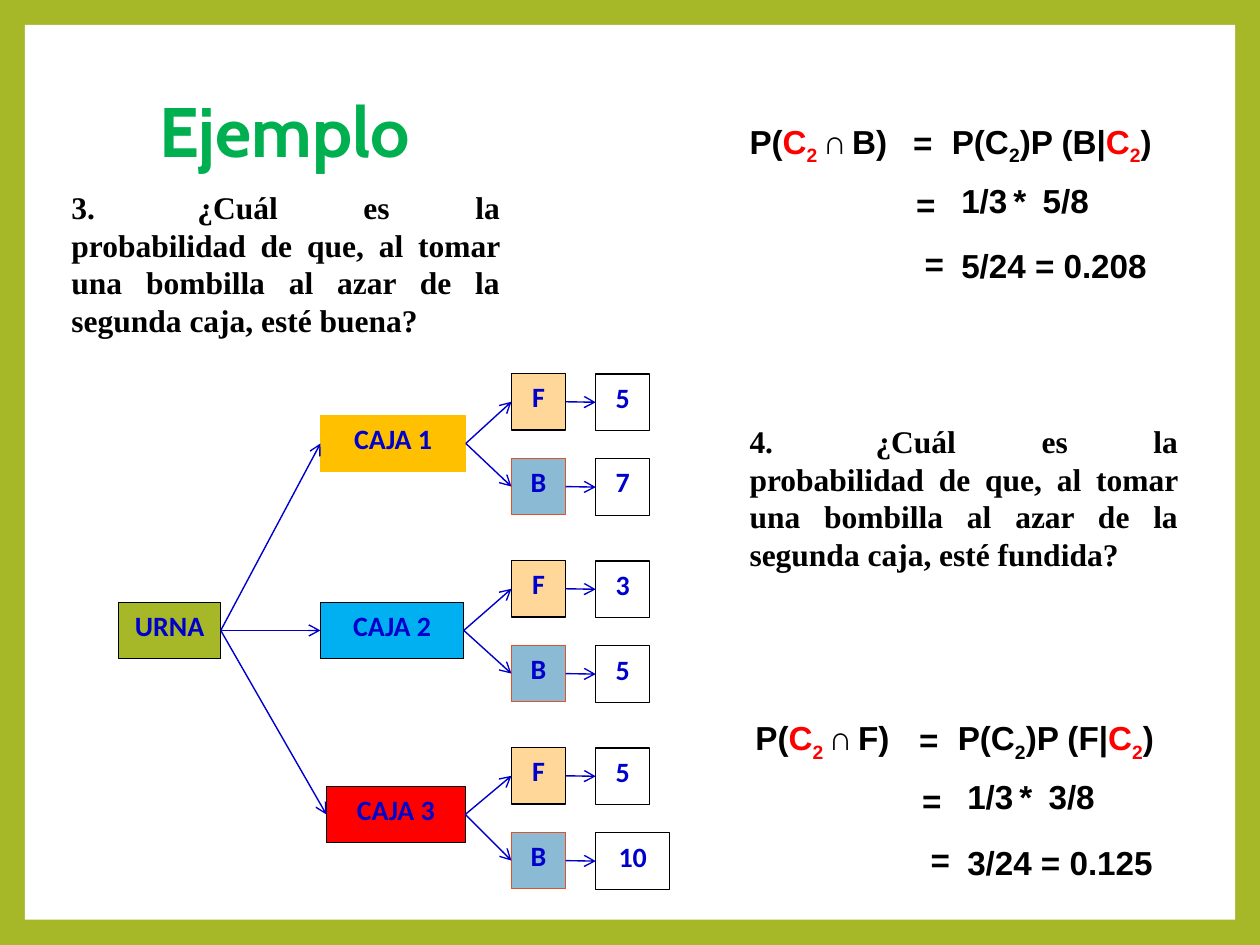
import pptx
import pptx.util
import pptx.dml.color
import pptx.enum.shapes
import pptx.enum.text
import pptx.oxml
import pptx.oxml.ns
import lxml.etree

Cm = pptx.util.Cm
Pt = pptx.util.Pt
RGBColor = pptx.dml.color.RGBColor
Align = pptx.enum.text.PP_ALIGN
Anchor = pptx.enum.text.MSO_ANCHOR
AutoSize = pptx.enum.text.MSO_AUTO_SIZE
qn = pptx.oxml.ns.qn

OLIVE = RGBColor(0xA6, 0xB7, 0x27)
WHITE = RGBColor(0xFF, 0xFF, 0xFF)
BLACK = RGBColor(0x00, 0x00, 0x00)
GREEN = RGBColor(0x00, 0xB0, 0x50)
NAVY = RGBColor(0x00, 0x00, 0xCC)
GOLD = RGBColor(0xFF, 0xC0, 0x00)
SKY = RGBColor(0x00, 0xB0, 0xF0)
RED = RGBColor(0xFF, 0x00, 0x00)
PEACH = RGBColor(0xFF, 0xD8, 0x99)
STEEL = RGBColor(0x8A, 0xBA, 0xD4)
RUST = RGBColor(0xDF, 0x53, 0x27)

# Lengths are in centimetres.
QUESTIONS = [
    (1.19, 3.66, "3.\t¿Cuál es la probabilidad de que, al tomar una bombilla "
                 "al azar de la segunda caja, esté buena?"),
    (14.86, 8.38, "4.\t¿Cuál es la probabilidad de que, al tomar una bombilla "
                  "al azar de la segunda caja, esté fundida?"),
]
QUESTION_TAB = 2.54

# Left, width, centre, fill, line, centre of its outcomes, bulbs F and B
BOXES = {
    "CAJA 1": (6.46, 2.93, 8.94, GOLD, GOLD, 8.95, ("5", "7")),
    "CAJA 2": (6.46, 2.89, 12.71, SKY, BLACK, 12.72, ("3", "5")),
    "CAJA 3": (6.58, 2.8, 16.42, RED, BLACK, 16.49, ("5", "10")),
}
OUTCOMES = [("F", PEACH, BLACK, -0.85), ("B", STEEL, RUST, 0.86)]
BOX_HEIGHT = 1.14
OUTCOME_LEFT, COUNT_LEFT, SMALL_WIDTH, WIDE_WIDTH = 10.31, 12.01, 1.09, 1.49

# Left, top, event, its probability in box 2, result
SOLUTIONS = [
    (14.86, 2.32, "B", "5/8", "5/24 = 0.208"),
    (14.98, 14.34, "F", "3/8", "3/24 = 0.125"),
]

presentation = pptx.Presentation()
presentation.slide_width, presentation.slide_height = Cm(25.4), Cm(19.05)
slide = presentation.slides.add_slide(presentation.slide_layouts[6])
slide.background.fill.solid()
slide.background.fill.fore_color.rgb = OLIVE


def add_run(paragraph, text, font, size, color, subscript=False):
    run = paragraph.add_run()
    run.text = text
    run.font.name, run.font.size, run.font.bold = font, Pt(size), True
    run.font.color.rgb = color
    if subscript:
        run.font._element.set("baseline", "-25000")


def add_text(left, top, width, height, runs, font, size, align=Align.LEFT, wrap=False):
    """Add a one-paragraph text box; each run is (text, color[, subscript])."""
    box = slide.shapes.add_textbox(Cm(left), Cm(top), Cm(width), Cm(height))
    frame = box.text_frame
    frame.word_wrap = wrap
    frame.auto_size = AutoSize.SHAPE_TO_FIT_TEXT
    paragraph = frame.paragraphs[0]
    paragraph.alignment = align
    for text, *style in runs:
        add_run(paragraph, text, font, size, *style)
    return frame


def add_rectangle(left, top, width, height, fill, line=None):
    shape = slide.shapes.add_shape(
        pptx.enum.shapes.MSO_SHAPE.RECTANGLE, Cm(left), Cm(top), Cm(width), Cm(height))
    shape.shadow.inherit = False
    if fill is None:
        shape.fill.background()
    else:
        shape.fill.solid()
        shape.fill.fore_color.rgb = fill
    if line is None:
        shape.line.fill.background()
    else:
        shape.line.color.rgb = line
        shape.line.width = Pt(0.75)
    return shape


def add_node(text, left, middle, width, fill, line):
    """Add a labelled tree box centred vertically on middle."""
    node = add_rectangle(left, middle - BOX_HEIGHT / 2, width, BOX_HEIGHT, fill, line)
    node.text_frame.vertical_anchor = Anchor.TOP
    paragraph = node.text_frame.paragraphs[0]
    paragraph.alignment = Align.CENTER
    add_run(paragraph, text, "Calibri", 16, NAVY)
    return node


def add_arrow(start, end):
    """Join the right side of start to the left side of end."""
    arrow = slide.shapes.add_connector(pptx.enum.shapes.MSO_CONNECTOR.STRAIGHT, 0, 0, 0, 0)
    arrow.begin_connect(start, 3)
    arrow.end_connect(end, 1)
    arrow.line.color.rgb = NAVY
    arrow.line.width = Pt(0.79)
    lxml.etree.SubElement(arrow.line._get_or_add_ln(), qn("a:tailEnd"), type="arrow")
    lxml.etree.SubElement(arrow._element.spPr, qn("a:effectLst"))


def add_question(left, top, question):
    frame = add_text(left, top, 9.14, 3.33, [(question, BLACK)], "Times New Roman", 18,
                     Align.JUSTIFY, True)
    properties = frame.paragraphs[0]._p.get_or_add_pPr()
    tabs = lxml.etree.SubElement(properties, qn("a:tabLst"))
    lxml.etree.SubElement(tabs, qn("a:tab"), pos=str(Cm(QUESTION_TAB)), algn="l")


def add_solution(left, top, event, probability, result):
    intersection = [("P(", BLACK), ("C", RED), ("2 ", RED, True), ("∩", BLACK),
                    (" ", BLACK, True), (f"{event})", BLACK)]
    product = [("P(C", BLACK), ("2", BLACK, True), (f")P ({event}|", BLACK),
               ("C", RED), ("2", RED, True), (")", BLACK)]
    pieces = [
        (0, 0, 3.5, intersection),
        (3.3, 0.03, 0.91, [("=", BLACK)]),
        (4.08, 0, 4.64, product),
        (3.36, 1.27, 0.91, [("=", BLACK)]),
        (4.27, 1.19, 1.45, [("1/3", BLACK)]),
        (5.32, 1.19, 0.79, [("*", BLACK)]),
        (5.91, 1.19, 1.45, [(probability, BLACK)]),
        (3.53, 2.46, 0.91, [("=", BLACK)]),
        (4.27, 2.51, 4.32, [(result, BLACK)]),
    ]
    for x, y, width, runs in pieces:
        add_text(left + x, top + y, width, 1.07, runs, "Arial", 19)


add_rectangle(0.5, 0.5, 24.4, 18.04, WHITE)
title = add_text(2.37, 1.7, 6.73, 2.03, [("Ejemplo", GREEN)], "Cabin", 40, Align.CENTER, True)
title.auto_size = AutoSize.NONE
title.vertical_anchor = Anchor.MIDDLE
title.paragraphs[0].line_spacing = 0.9

urn = add_node("URNA", 2.39, 12.71, 2.06, OLIVE, BLACK)
for name, (left, width, middle, fill, line, outcome_middle, counts) in BOXES.items():
    box = add_node(name, left, middle, width, fill, line)
    add_arrow(urn, box)
    for (event, event_fill, event_line, offset), count in zip(OUTCOMES, counts):
        y = outcome_middle + offset
        outcome = add_node(event, OUTCOME_LEFT, y, SMALL_WIDTH, event_fill, event_line)
        count_width = WIDE_WIDTH if len(count) > 1 else SMALL_WIDTH
        bulbs = add_node(count, COUNT_LEFT, y + 0.01, count_width, None, BLACK)
        add_arrow(box, outcome)
        add_arrow(outcome, bulbs)

for question in QUESTIONS:
    add_question(*question)
for solution in SOLUTIONS:
    add_solution(*solution)

presentation.save("out.pptx")
